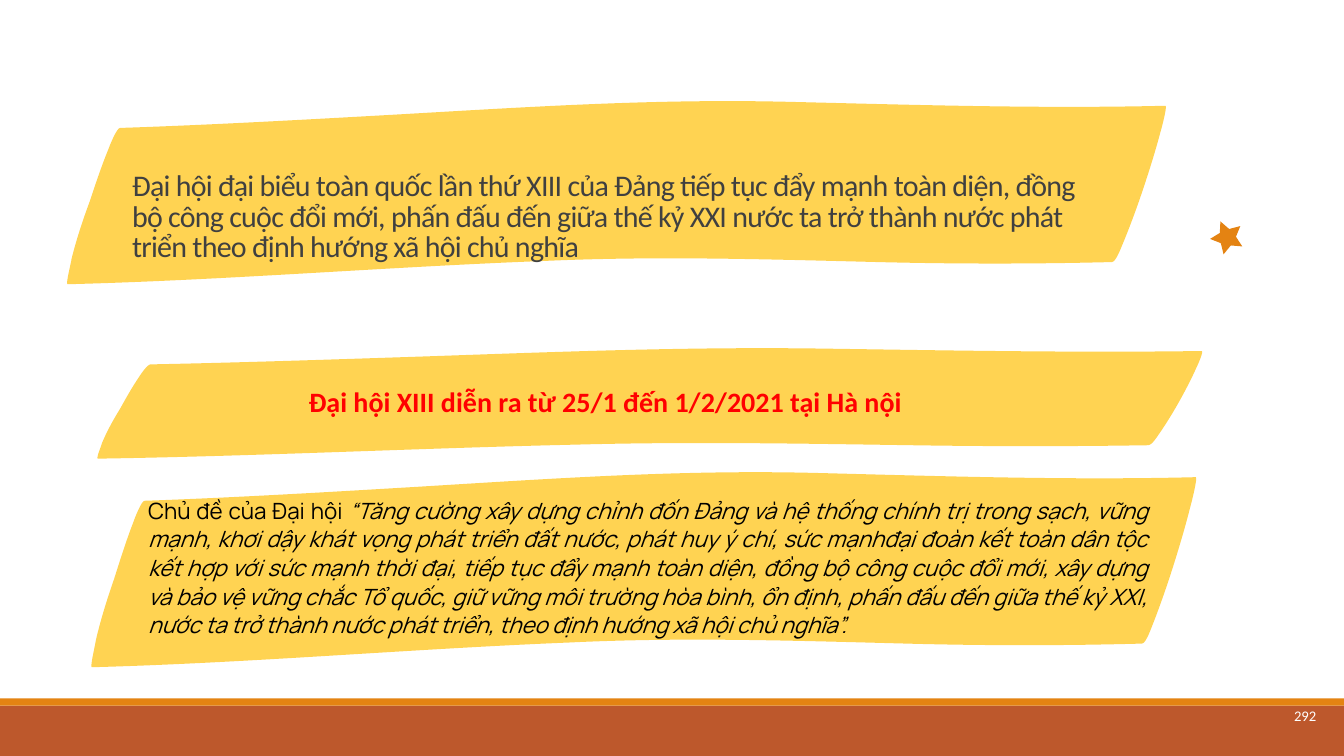
"""Build the slide on the thirteenth congress with three wavy ribbons."""
from lxml import etree
from pptx import Presentation
from pptx.dml.color import RGBColor
from pptx.enum import shapes, text
from pptx.oxml import ns
from pptx.util import Inches, Pt

BARS = [((0, 7, 13.33, 0.5), "BD582C"), ((0, 6.93, 13.33, 0.07), "E48312")]
RIBBON_COLOR, STAR_COLOR = "FFD352", "E48312"
TITLE_RIBBON, DATE_RIBBON = (0.65, 0.98, 10.93, 1.84), (0.95, 3.44, 10.99, 1.11)
THEME_RIBBON = (0.89, 4.66, 10.99, 1.96)
STAR_BOX, STAR_ROTATION, STAR_DEPTH = (12.02, 2.19, 0.33, 0.31), 48.8, 0.25
RIBBON_SIZE = (10.93, 1.84)
RIBBON_START = (0.02, 1.84)
RIBBON_CURVES = [
    [(0, 1.84), (0.06, 1.61), (0.06, 1.59)],
    [(0.11, 1.39), (0.17, 1.21), (0.24, 1.02)],
    [(0.3, 0.84), (0.36, 0.66), (0.43, 0.49)],
    [(0.44, 0.46), (0.51, 0.29), (0.54, 0.29)],
    [(1.44, 0.26), (2.33, 0.21), (3.23, 0.16)],
    [(4.62, 0.08), (5.83, 0), (7.14, 0.03)],
    [(8.39, 0.06), (9.65, 0.1), (10.91, 0.07)],
    [(10.93, 0.07), (10.87, 0.3), (10.86, 0.33)],
    [(10.81, 0.52), (10.75, 0.71), (10.69, 0.89)],
    [(10.63, 1.07), (10.56, 1.26), (10.49, 1.43)],
    [(10.48, 1.45), (10.42, 1.62), (10.38, 1.62)],
    [(9.61, 1.64), (8.83, 1.64), (8.05, 1.62)],
    [(6.85, 1.59), (5.83, 1.56), (4.73, 1.61)],
    [(3.16, 1.67), (1.59, 1.8), (0.02, 1.84)],
]

TITLE = {
    "box": (1.18, 1.06, 9.86, 1.69), "anchor": text.MSO_ANCHOR.BOTTOM, "insets": (0.13, 0.13),
    "paragraph": {"alignment": text.PP_ALIGN.LEFT, "line_spacing": 0.85},
    "font": {"name": "Calibri", "size": Pt(21.4)}, "color": "404040", "tracking": -50,
    "runs": [("Đại hội đại biểu toàn quốc lần thứ XIII của Đảng tiếp tục đẩy mạnh toàn diện, "
              "đồng bộ công cuộc đổi mới, phấn đấu đến giữa thế kỷ XXI nước ta trở thành nước "
              "phát triển theo định hướng xã hội chủ nghĩa", False)],
}
NUMBER = {
    "box": (12.55, 6.69, 0.79, 0.81), "anchor": text.MSO_ANCHOR.MIDDLE, "insets": (0.13, 0.13),
    "paragraph": {"alignment": text.PP_ALIGN.CENTER},
    "font": {"name": "Calibri", "size": Pt(10.5)}, "color": "FFFFFF",
    "runs": [("292", False)],
}
DATE = {
    "box": (2.93, 3.72, 10.29, 1.14), "anchor": text.MSO_ANCHOR.TOP, "insets": (0.13, 0.13),
    "paragraph": {"line_spacing": 0.9, "space_after": Pt(2)},
    "font": {"name": "Calibri", "size": Pt(20), "bold": True}, "color": "FF0000",
    "runs": [("Đại hội XIII diễn ra từ 25/1 đến 1/2/2021 tại Hà nội", False)],
}
THEME = {
    "box": (1.37, 4.86, 10.12, 1.54), "anchor": text.MSO_ANCHOR.TOP, "insets": (0.1, 0.05),
    "paragraph": {"alignment": text.PP_ALIGN.JUSTIFY, "line_spacing": 1.07,
                  "space_after": Pt(4)},
    "font": {"name": "Manrope", "size": Pt(16)}, "color": "000000",
    "runs": [("Chủ đề của Đại hội ", False),
             ("“Tăng cường xây dựng chỉnh đốn Đảng và hệ thống chính trị trong sạch, vững mạnh, "
              "khơi dậy khát vọng phát triển đất nước, phát huy ý chí, sức mạnhđại đoàn kết toàn "
              "dân tộc kết hợp với sức mạnh thời đại, tiếp tục đẩy mạnh toàn diện, đồng bộ công "
              "cuộc đổi mới, xây dựng và bảo vệ vững chắc Tổ quốc, giữ vững môi trường hòa bình, "
              "ổn định, phấn đấu đến giữa thế kỷ XXI, nước ta trở thành nước phát triển, theo "
              "định hướng xã hội chủ nghĩa”.", True)],
}


def rgb(value):
    """Return the colour for a hex string."""
    return RGBColor.from_string(value)


def set_all(target, values):
    """Set each attribute named in a dict."""
    for name, value in values.items():
        setattr(target, name, value)


def paint(shape, color):
    """Give a shape a flat fill without line or shadow."""
    shape.shadow.inherit = False
    shape.fill.solid()
    shape.fill.fore_color.rgb = rgb(color)
    shape.line.fill.background()


def add_ribbon(slide, box):
    """Draw the wavy outline scaled into a box, with true Bezier curves."""
    left, top, width, height = map(Inches, box)
    builder = slide.shapes.build_freeform(left, top)
    builder.add_line_segments([(left + width, top), (left + width, top + height),
                               (left, top + height)])
    ribbon = builder.convert_to_shape()
    outline = ribbon._element.find(".//" + ns.qn("a:path"))
    for child in list(outline):
        outline.remove(child)
    moves = [("a:moveTo", [RIBBON_START])]
    moves += [("a:cubicBezTo", curve) for curve in RIBBON_CURVES]
    for tag, points in moves + [("a:close", [])]:
        move = etree.SubElement(outline, ns.qn(tag))
        for x, y in points:
            etree.SubElement(move, ns.qn("a:pt"), x=str(round(x * width / RIBBON_SIZE[0])),
                             y=str(round(y * height / RIBBON_SIZE[1])))
    paint(ribbon, RIBBON_COLOR)


def add_star(slide):
    """Draw the tilted star."""
    star = slide.shapes.add_shape(shapes.MSO_SHAPE.STAR_5_POINT, *map(Inches, STAR_BOX))
    star.adjustments[0] = STAR_DEPTH
    star.rotation = STAR_ROTATION
    paint(star, STAR_COLOR)


def write(shape, content):
    """Place a text shape and fill it with formatted runs."""
    set_all(shape, dict(zip(("left", "top", "width", "height"), map(Inches, content["box"]))))
    across, down = map(Inches, content["insets"])
    frame = shape.text_frame
    set_all(frame, {"word_wrap": True, "auto_size": text.MSO_AUTO_SIZE.NONE,
                    "vertical_anchor": content["anchor"],
                    "margin_left": across, "margin_right": across,
                    "margin_top": down, "margin_bottom": down})
    paragraph = frame.paragraphs[0]
    set_all(paragraph, content["paragraph"])
    for words, italic in content["runs"]:
        run = paragraph.add_run()
        run.text = words
        set_all(run.font, {**content["font"], "italic": italic})
        run.font.color.rgb = rgb(content["color"])
        if "tracking" in content:
            run._r.get_or_add_rPr().set("spc", str(content["tracking"]))


def add_text(slide, content):
    """Add a text box holding the content."""
    write(slide.shapes.add_textbox(*map(Inches, content["box"])), content)


def main():
    """Assemble and save the slide."""
    presentation = Presentation()
    presentation.slide_width, presentation.slide_height = Inches(13.33), Inches(7.5)
    slide = presentation.slides.add_slide(presentation.slide_layouts[5])
    for box, color in BARS:
        paint(slide.shapes.add_shape(shapes.MSO_SHAPE.RECTANGLE, *map(Inches, box)), color)
    add_ribbon(slide, TITLE_RIBBON)
    add_ribbon(slide, DATE_RIBBON)
    add_text(slide, NUMBER)
    title = slide.shapes.title
    slide.shapes._spTree.append(title._element)
    write(title, TITLE)
    add_text(slide, DATE)
    add_star(slide)
    add_ribbon(slide, THEME_RIBBON)
    add_text(slide, THEME)
    presentation.save("out.pptx")


if __name__ == "__main__":
    main()
